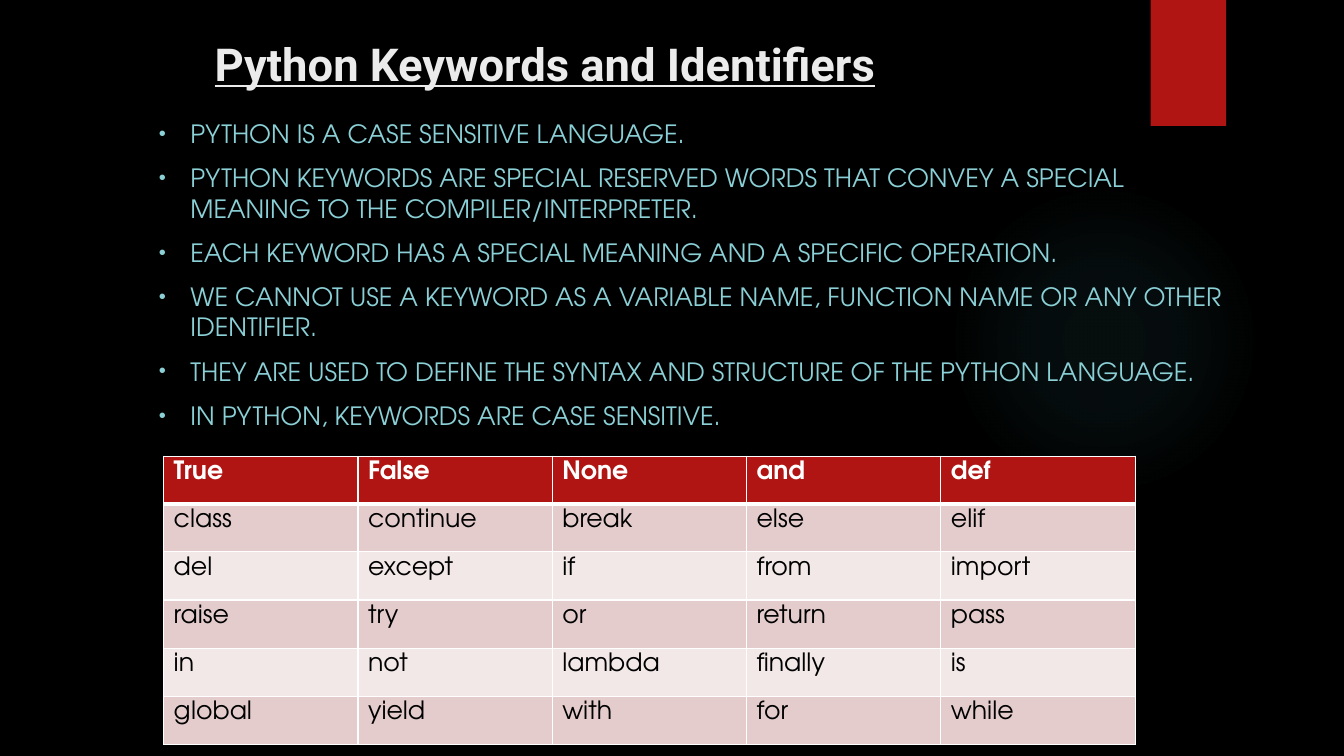
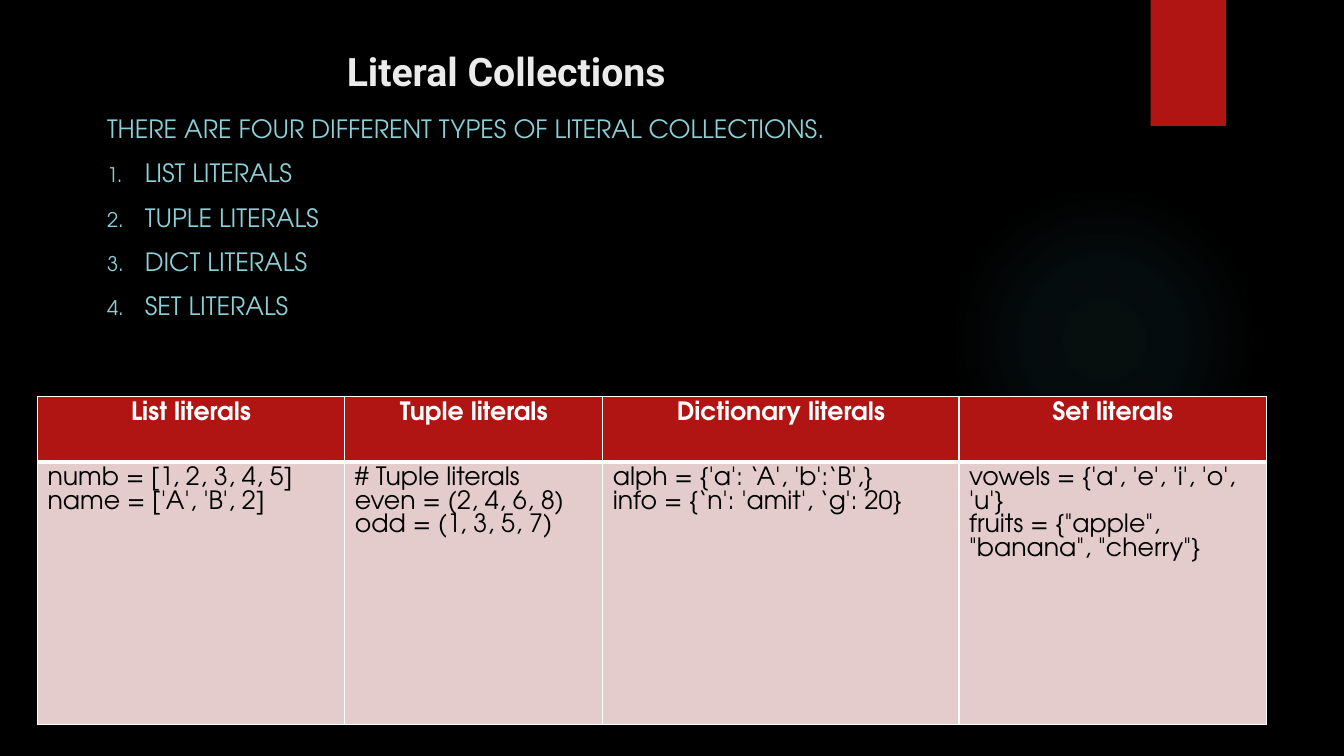
from lxml import etree
from pptx import Presentation
from pptx.dml.color import RGBColor
from pptx.enum.shapes import MSO_SHAPE as Shape
from pptx.enum.text import MSO_ANCHOR as Anchor, PP_ALIGN as Align
from pptx.oxml import parse_xml
from pptx.oxml.ns import nsdecls, qn
from pptx.util import Pt

COLORS = {
    "background": "000000", "title": "EBEBEB", "body": "8AD0D6",
    "accent": "B01513", "glow": "50B9C1", "white": "FFFFFF",
    "black": "000000", "band_dark": "E4CCCC", "band_light": "F2E8E7",
}
TITLE_FONT, BODY_FONT = "Roboto", "TeX Gyre Adventor"
BODY_SIZE = 18
GLOW_STOPS = [(0, 7), (36, 6), (69, 0)]  # position %, opacity %

# Content; boxes are left, top, width, height in points
SLIDES = [
    {
        "title": "Python Keywords and Identifiers",
        "title_box": (146.2, 15.2, 610.6, 53.3),
        "title_format": {"size": 32.4, "underline": True},
        "body_box": (106.5, 81, 781.9, 232.6),
        "intro": [],
        "points": [
            "PYTHON IS A CASE SENSITIVE LANGUAGE.",
            "PYTHON KEYWORDS ARE SPECIAL RESERVED WORDS THAT CONVEY A SPECIAL "
            "MEANING TO THE COMPILER/INTERPRETER.",
            "EACH KEYWORD HAS A SPECIAL MEANING AND A SPECIFIC OPERATION.",
            "WE CANNOT USE A KEYWORD AS A VARIABLE NAME, FUNCTION NAME OR ANY "
            "OTHER IDENTIFIER.",
            "THEY ARE USED TO DEFINE THE SYNTAX AND STRUCTURE OF THE PYTHON LANGUAGE.",
            "IN PYTHON, KEYWORDS ARE CASE SENSITIVE.",
        ],
        "marker": "bullet", "indent": 22.5,
        "table_at": (116.9, 325.8),
        "columns": [138.8] * 5,
        "row_heights": [34] + [34.4] * 5,
        "header_align": Align.LEFT,
        "rows": [
            ["True", "False", "None", "and", "def"],
            ["class", "continue", "break", "else", "elif"],
            ["del", "except", "if", "from", "import"],
            ["raise", "try", "or", "return", "pass"],
            ["in", "not", "lambda", "finally", "is"],
            ["global", "yield", "with", "for", "while"],
        ],
    },
    {
        "title": "Literal Collections",
        "title_box": (240.6, 12.4, 425, 58.3),
        "title_format": {"size": 28},
        "body_box": (69.4, 77.4, 781.9, 154.8),
        "intro": ["THERE ARE FOUR DIFFERENT TYPES OF LITERAL COLLECTIONS."],
        "points": ["LIST LITERALS", "TUPLE LITERALS", "DICT LITERALS", "SET LITERALS"],
        "marker": "number", "indent": 27,
        "table_at": (26.8, 283.2),
        "columns": [219.5, 184.3, 254.5, 219.5],
        "row_heights": [46.8, 187.4],
        "header_align": Align.CENTER,
        "rows": [
            ["List literals", "Tuple literals", "Dictionary literals", "Set literals"],
            [
                "numb = [1, 2, 3, 4, 5]\nname = ['A', 'B', 2]",
                "# Tuple literals\neven = (2, 4, 6, 8)\nodd = (1, 3, 5, 7)",
                "alph = {'a': ‘A', 'b':‘B',}\ninfo = {‘n': 'amit', ‘g': 20}",
                "vowels = {'a', 'e', 'i', 'o', 'u'}\n"
                "fruits = {\"apple\", \"banana\", \"cherry\"}",
            ],
        ],
    },
]


def rgb(name):
    return RGBColor.from_string(COLORS[name])


def add_marker(paragraph, marker, indent):
    props = paragraph._p.get_or_add_pPr()
    props.set("marL", str(Pt(indent)))
    props.set("indent", str(-Pt(indent)))
    color = etree.SubElement(props, qn("a:buClr"))
    etree.SubElement(color, qn("a:srgbClr"), val=COLORS["body"])
    etree.SubElement(props, qn("a:buSzPct"), val="80000")
    if marker == "bullet":
        etree.SubElement(props, qn("a:buFont"), typeface="Arial")
        etree.SubElement(props, qn("a:buChar"), char="•")
    else:
        etree.SubElement(props, qn("a:buAutoNum"), type="arabicPeriod")


def write(frame, text, *, size=BODY_SIZE, font=BODY_FONT, color="body", bold=False,
          underline=False, align=Align.LEFT, before=0, marker=None, indent=0,
          unmarked=0):
    """Fill a text frame, one paragraph per line of text."""
    frame.word_wrap = True
    for i, line in enumerate(text.split("\n")):
        paragraph = frame.add_paragraph() if i else frame.paragraphs[0]
        paragraph.alignment = align
        if i and before:
            paragraph.space_before = Pt(before)
        if marker and i >= unmarked:
            add_marker(paragraph, marker, indent)
        run = paragraph.add_run()
        run.text = line
        run.font.size, run.font.name = Pt(size), font
        run.font.bold, run.font.underline = bold, underline
        run.font.color.rgb = rgb(color)


def add_textbox(slide, box):
    return slide.shapes.add_textbox(*map(Pt, box)).text_frame


def add_plain_shape(slide, kind, box, color):
    shape = slide.shapes.add_shape(kind, *map(Pt, box))
    shape.shadow.inherit = False
    shape.fill.solid()
    shape.fill.fore_color.rgb = rgb(color)
    shape.line.fill.background()
    return shape


def add_backdrop(slide):
    """Black background, soft glow and red tab."""
    slide.background.fill.solid()
    slide.background.fill.fore_color.rgb = rgb("background")
    glow = add_plain_shape(slide, Shape.OVAL, (677.5, 131.8, 221.8, 221.8), "glow")
    stops = "".join(
        f'<a:gs pos="{pos * 1000}"><a:srgbClr val="{COLORS["glow"]}">'
        f'<a:alpha val="{alpha * 1000}"/></a:srgbClr></a:gs>'
        for pos, alpha in GLOW_STOPS)
    gradient = parse_xml(
        f'<a:gradFill {nsdecls("a")}><a:gsLst>{stops}</a:gsLst><a:path path="circle">'
        '<a:fillToRect l="50000" t="50000" r="50000" b="50000"/></a:path></a:gradFill>')
    props = glow._element.spPr
    props.replace(props.find(qn("a:solidFill")), gradient)
    add_plain_shape(slide, Shape.RECTANGLE, (821.9, 0, 54, 90), "accent")


def set_borders(cell, **widths):
    props = cell._tc.get_or_add_tcPr()
    for i, side in enumerate("LRTB"):
        props.insert(i, parse_xml(
            f'<a:ln{side} {nsdecls("a")} w="{Pt(widths.get(side, 1))}"><a:solidFill>'
            f'<a:srgbClr val="{COLORS["white"]}"/></a:solidFill></a:ln{side}>'))


def add_grid(slide, content):
    columns, heights, rows = (content[k] for k in ("columns", "row_heights", "rows"))
    box = (*content["table_at"], sum(columns), sum(heights))
    table = slide.shapes.add_table(len(rows), len(columns), *map(Pt, box)).table
    for column, width in zip(table.columns, columns):
        column.width = Pt(width)
    for r, (texts, height) in enumerate(zip(rows, heights)):
        table.rows[r].height = Pt(height)
        header = r == 0
        fill = "accent" if header else "band_dark" if r % 2 else "band_light"
        for c, text in enumerate(texts):
            cell = table.cell(r, c)
            cell.fill.solid()
            cell.fill.fore_color.rgb = rgb(fill)
            set_borders(cell, B=3 if header else 1, T=3 if r == 1 else 1)
            write(cell.text_frame, text, color="white" if header else "black",
                  bold=header, align=content["header_align"] if header else Align.LEFT)


def build_slide(deck, content):
    slide = deck.slides.add_slide(deck.slide_layouts[6])
    add_backdrop(slide)
    title = add_textbox(slide, content["title_box"])
    title.vertical_anchor = Anchor.BOTTOM
    write(title, content["title"], font=TITLE_FONT, color="title", bold=True,
          **content["title_format"])
    write(add_textbox(slide, content["body_box"]),
          "\n".join(content["intro"] + content["points"]), before=10,
          marker=content["marker"], indent=content["indent"],
          unmarked=len(content["intro"]))
    add_grid(slide, content)


def main():
    deck = Presentation()
    deck.slide_width, deck.slide_height = Pt(960), Pt(540)
    for content in SLIDES:
        build_slide(deck, content)
    deck.save("out.pptx")


if __name__ == "__main__":
    main()
